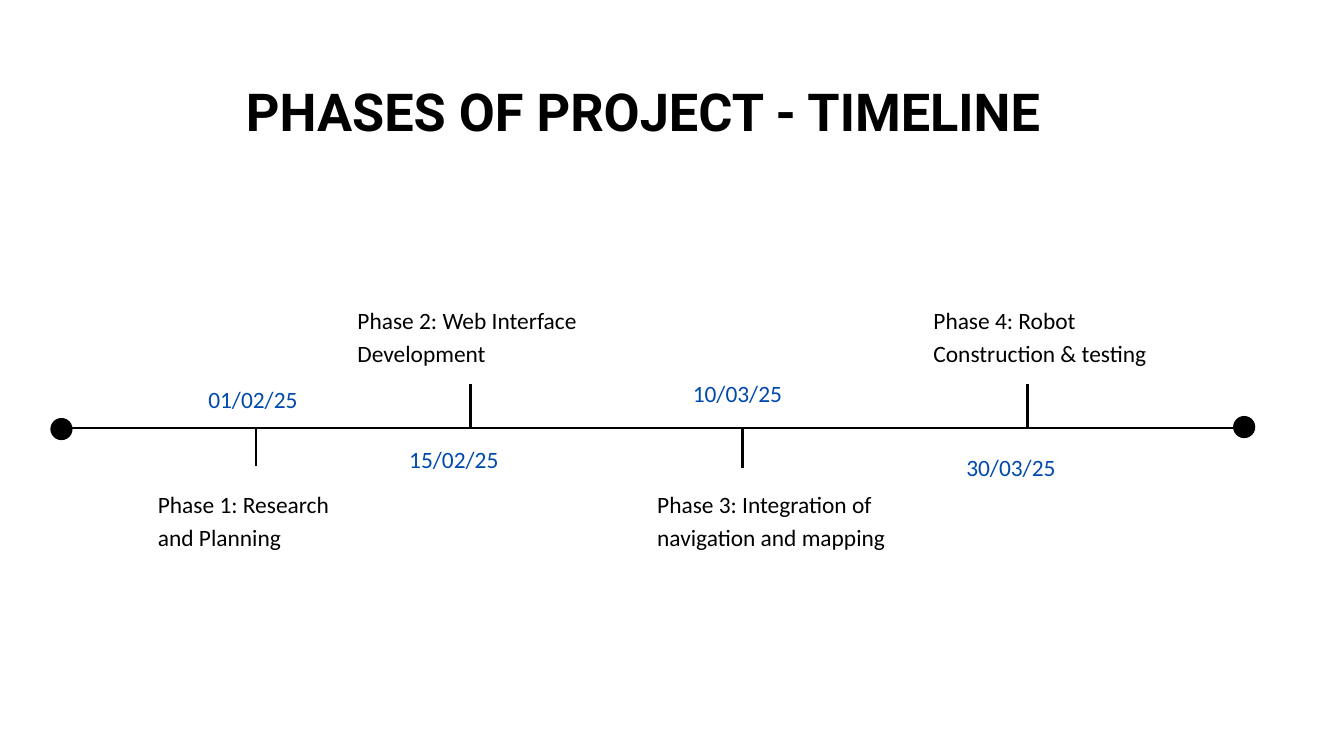
from lxml import etree
from pptx import Presentation
from pptx import util as u
from pptx.dml import color
from pptx.enum import shapes, text
from pptx.oxml import ns

BLACK, BLUE = "000000", "004AAD"
AXIS_Y = 6.37
BODY = {"name": "Calibri", "size": u.Pt(25.1)}
HEADING = {"name": "Roboto", "size": u.Pt(56), "bold": True}
FRAME = {
    "word_wrap": True,
    "auto_size": text.MSO_AUTO_SIZE.NONE,
    "vertical_anchor": text.MSO_ANCHOR.TOP,
    "margin_left": 0,
    "margin_top": 0,
    "margin_right": 0,
    "margin_bottom": 0,
}
PHASES = [
    ("Phase 1: Research and Planning", (2.35, 7.23, 3.13, 0.96),
     "01/02/25", (3.1, 5.66, 1.83, 0.46), (3.81, 6.94)),
    ("Phase 2: Web Interface Development", (5.32, 4.49, 3.9, 0.96),
     "15/02/25", (6.09, 6.56, 1.83, 0.46), (7, 5.71)),
    ("Phase 3: Integration of navigation and mapping", (9.78, 7.23, 3.56, 1.45),
     "10/03/25", (10.31, 5.57, 1.83, 0.46), (11.05, 6.97)),
    ("Phase 4: Robot Construction & testing", (13.89, 4.49, 3.85, 0.96),
     "30/03/25", (14.38, 6.68, 1.83, 0.46), (15.29, 5.71)),
]


def rgb(value):
    """Turn a hex string into a colour."""
    return color.RGBColor.from_string(value)


def inches(values):
    """Convert numbers to lengths in inches."""
    return [u.Inches(value) for value in values]


def apply(target, values):
    """Set each attribute of the target from a dict."""
    for name, value in values.items():
        setattr(target, name, value)


def write(shape, words, font, fill, spacing):
    """Write one left-aligned paragraph into a shape."""
    apply(shape.text_frame, FRAME)
    para = shape.text_frame.paragraphs[0]
    apply(para, {"alignment": text.PP_ALIGN.LEFT, "line_spacing": u.Pt(spacing)})
    span = para.add_run()
    span.text = words
    apply(span.font, font)
    span.font.color.rgb = rgb(fill)


def add_title(page, box):
    """Place and fill the title placeholder."""
    title = page.shapes.title
    apply(title, dict(zip(("left", "top", "width", "height"), inches(box))))
    write(title, "PHASES OF PROJECT - TIMELINE", HEADING, BLACK, 78.4)


def add_label(page, words, box, fill):
    """Add a text box for a phase name or a date."""
    write(page.shapes.add_textbox(*inches(box)), words, BODY, fill, 35.1)


def add_line(page, start, end):
    """Draw a straight black line between two points."""
    line = page.shapes.add_connector(
        shapes.MSO_CONNECTOR.STRAIGHT, *inches(start + end))
    line.line.color.rgb = rgb(BLACK)
    line.line.width = u.Pt(3)
    etree.SubElement(line._element.spPr, ns.qn("a:effectLst"))


def add_dot(page, box):
    """Draw a black end point of the axis."""
    dot = page.shapes.add_shape(shapes.MSO_SHAPE.OVAL, *inches(box))
    dot.shadow.inherit = False
    dot.fill.solid()
    dot.fill.fore_color.rgb = rgb(BLACK)
    dot.line.fill.background()


def add_timeline(page, left, right):
    """Draw the axis with its end points, ticks, phases and dates."""
    add_line(page, (left, AXIS_Y), (right, AXIS_Y))
    add_dot(page, (0.75, 6.22, 0.33, 0.33))
    add_dot(page, (18.35, 6.19, 0.33, 0.33))
    for phase, phase_box, date, date_box, tick_end in PHASES:
        add_line(page, (tick_end[0], AXIS_Y), tick_end)
        add_label(page, phase, phase_box, BLACK)
        add_label(page, date, date_box, BLUE)


def main():
    """Build and save the deck."""
    deck = Presentation()
    apply(deck, {"slide_width": u.Inches(20), "slide_height": u.Inches(11.25)})
    page = deck.slides.add_slide(deck.slide_layouts[5])
    add_title(page, (3.66, 1.02, 12.88, 1.03))
    add_timeline(page, 0.92, 18.65)
    deck.save("out.pptx")


if __name__ == "__main__":
    main()
